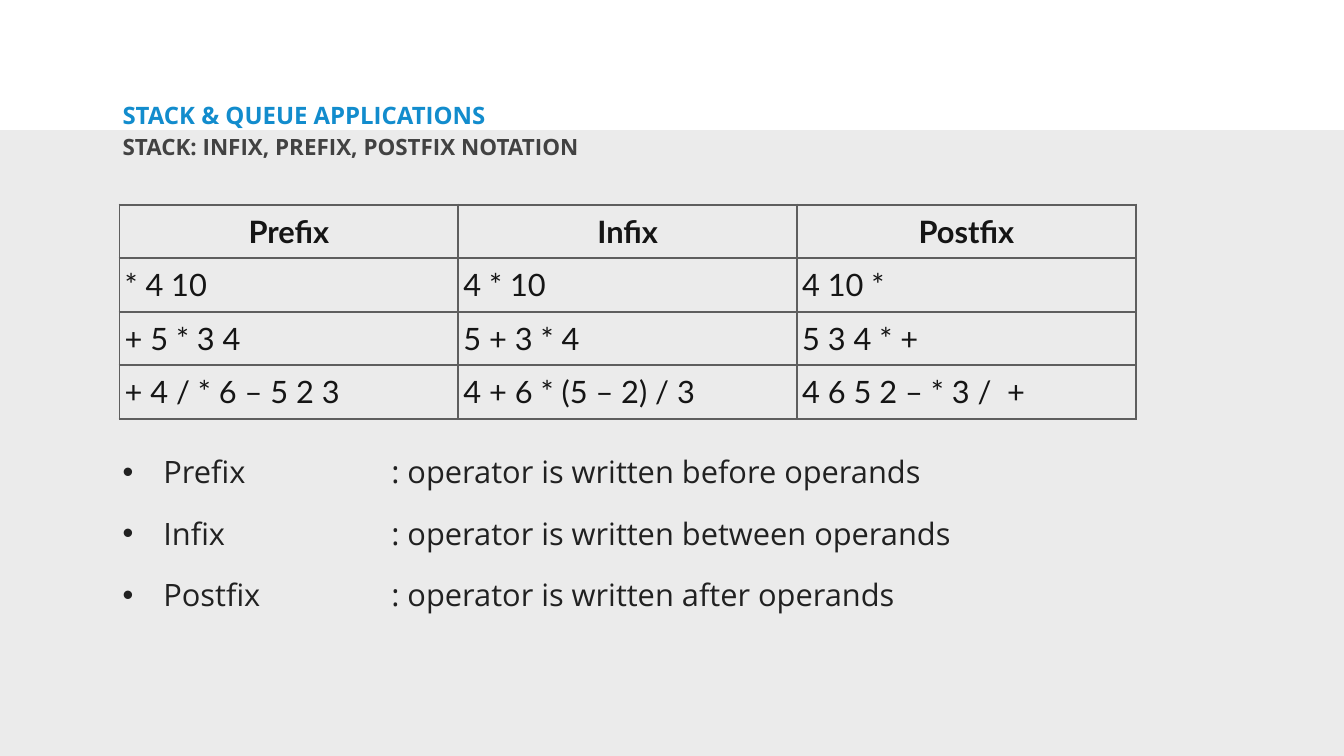
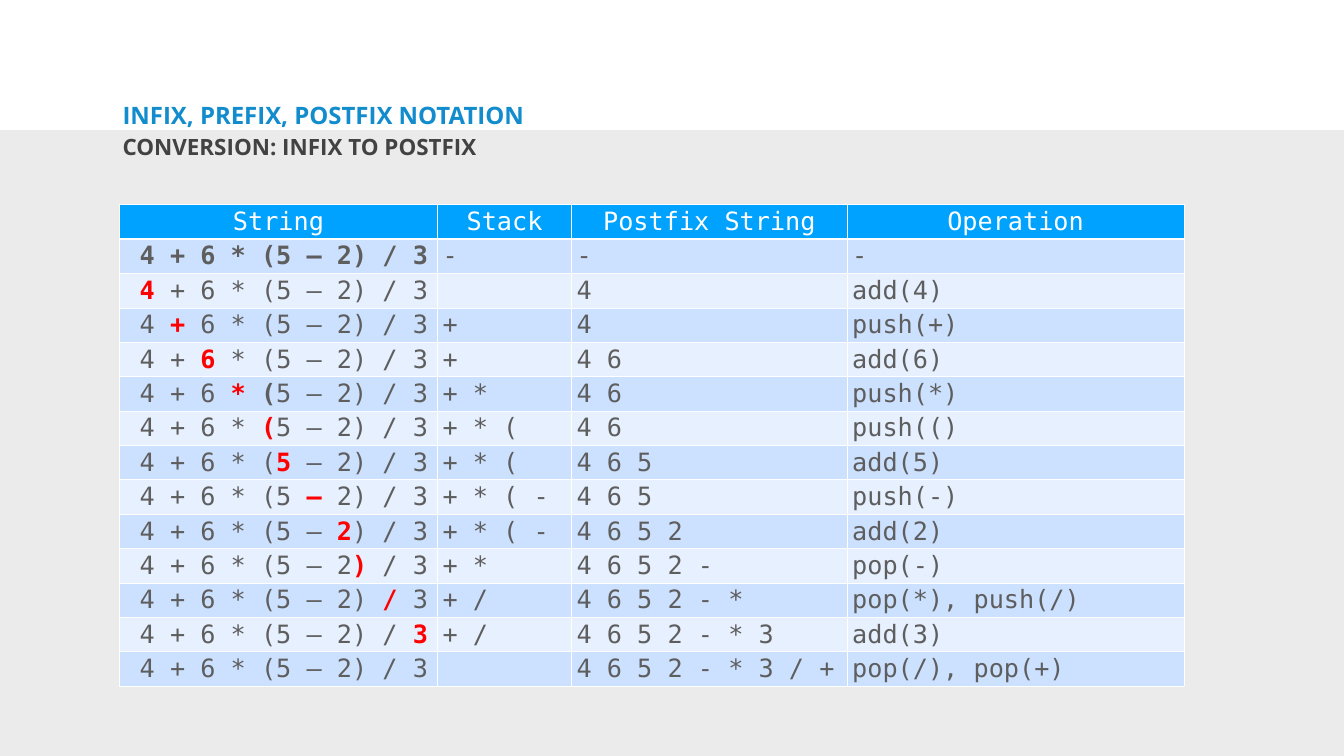
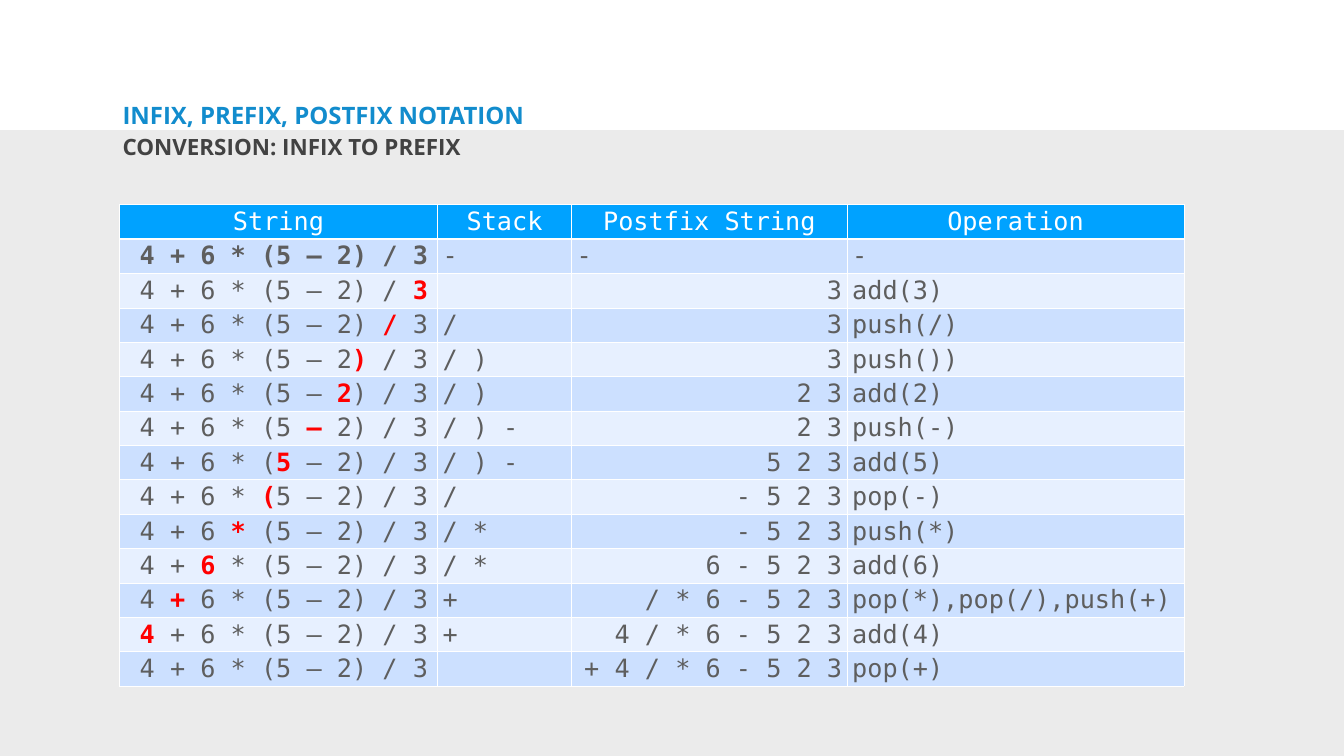
"""Build three slides on prefix, infix and postfix notation."""
from lxml import etree
from pptx import Presentation
from pptx import util as u
from pptx.dml.color import RGBColor
from pptx.enum import shapes, text
from pptx.oxml import ns

Pt = u.Pt
LEFT, TABLE_TOP = 170.7, 292.4
EXPR = " 4 + 6 * (5 – 2) / 3"
START = "|" + EXPR
HEADER = ["String", "Stack", "Postfix String", "Operation"]
ALIGN = {"l": text.PP_ALIGN.LEFT, "c": text.PP_ALIGN.CENTER, "r": text.PP_ALIGN.RIGHT}


def rgb(color):
    return RGBColor.from_string(color)


def sub(parent, tag, **attrs):
    return etree.SubElement(parent, ns.qn(tag), attrs)


class Deck:
    blue, dark, body, red = "128CCD", "424242", "212121", "FF0000"
    band_fill, grey, ink, white = "EBEBEB", "5E5E5E", "151515", "FFFFFF"
    head, rows = "00A2FF", ("CCE0FF", "E7F0FF")
    sans, lato, mono = "Open Sans", "Lato", "DejaVu Sans Mono"

    def __init__(self):
        self.prs = Presentation()
        self.prs.slide_width, self.prs.slide_height = Pt(1920), Pt(1080)
        self.s = None

    def slide(self, title, subtitle, bullets=()):
        self.s = self.prs.slides.add_slide(self.prs.slide_layouts[4])
        self.band()
        self.placeholder(0, (LEFT, 147.6, 1158.5, 40.3), [title], 34.2, self.blue,
                         bold=True, spacing=0.8, anchor=text.MSO_ANCHOR.MIDDLE)
        self.placeholder(1, (LEFT, 190.8, 769, 63.4), [subtitle], 32, self.dark,
                         bold=True, spacing=0.9)
        if bullets:
            self.placeholder(3, (LEFT, 643, 1520.6, 289), bullets, 44, self.body,
                             bulleted=True)
        for sp in list(self.s.placeholders):
            if not sp.text_frame.text:
                sp.element.getparent().remove(sp.element)

    def band(self):
        sp = self.s.shapes.add_shape(shapes.MSO_SHAPE.RECTANGLE, 0, Pt(186),
                                     Pt(1920), Pt(894))
        sp.shadow.inherit = False
        sp.fill.solid()
        sp.fill.fore_color.rgb = rgb(self.band_fill)
        sp.line.fill.background()
        self.s.shapes.element.insert(2, sp.element)

    def font(self, p, name, size, color, bold=False):
        f = p.font
        f.name, f.size, f.bold = name, Pt(size), bold
        f.color.rgb = rgb(color)

    def placeholder(self, idx, at, lines, size, color, bold=False, spacing=1.0,
                    anchor=text.MSO_ANCHOR.TOP, bulleted=False):
        sp = next(sp for sp in self.s.placeholders
                  if sp.placeholder_format.idx == idx)
        sp.left, sp.top, sp.width, sp.height = map(Pt, at)
        tf = sp.text_frame
        tf.word_wrap, tf.auto_size = True, text.MSO_AUTO_SIZE.NONE
        tf.vertical_anchor = anchor
        tf.margin_left = tf.margin_right = tf.margin_top = tf.margin_bottom = Pt(4.3)
        for i, line in enumerate(lines):
            p = tf.add_paragraph() if i else tf.paragraphs[0]
            p.text, p.alignment, p.line_spacing = line, ALIGN["l"], spacing
            p.space_before, p.space_after = Pt(35 if i else 0), Pt(0)
            if bulleted:
                self.bullet(p, 58.3, 384)
            self.font(p, self.sans, size, color, bold)

    def bullet(self, p, indent, tab):
        pPr = p._p.get_or_add_pPr()
        pPr.set("marL", str(Pt(indent)))
        pPr.set("indent", str(-Pt(indent)))
        sub(pPr, "a:buFont", typeface="Arial")
        sub(pPr, "a:buChar", char="•")
        sub(sub(pPr, "a:tabLst"), "a:tab", pos=str(Pt(tab)), algn="l")

    def table(self, widths, n_rows, row_height):
        tbl = self.s.shapes.add_table(n_rows, len(widths), Pt(LEFT), Pt(TABLE_TOP),
                                      Pt(sum(widths)), Pt(n_rows * row_height)).table
        tbl.first_row = tbl.horz_banding = False
        for col, width in zip(tbl.columns, widths):
            col.width = Pt(width)
        for row in tbl.rows:
            row.height = Pt(row_height)
        return tbl

    def cell(self, cell, content, font, align="l", fill=None, border=None,
             width=1, bottom=None, anchor=text.MSO_ANCHOR.TOP):
        tcPr = cell._tc.get_or_add_tcPr()
        for side in "LRTB":
            w = bottom if bottom and side == "B" else width
            ln = sub(tcPr, "a:ln" + side, w=str(Pt(w)))
            sub(sub(ln, "a:solidFill"), "a:srgbClr", val=border)
        if fill:
            cell.fill.solid()
            cell.fill.fore_color.rgb = rgb(fill)
        else:
            cell.fill.background()
        cell.vertical_anchor = anchor
        p = cell.text_frame.paragraphs[0]
        p.alignment = ALIGN[align]
        self.font(p, *font)
        for words, color, bold in content:
            if words:
                r = p.add_run()
                r.text = words
                if bold:
                    r.font.bold = True
                if color:
                    r.font.color.rgb = rgb(color)

    def notation_table(self, rows):
        tbl = self.table([484] * 3, len(rows), 76.5)
        for i, row in enumerate(rows):
            for j, words in enumerate(row):
                self.cell(tbl.cell(i, j), [(words, None, False)],
                          (self.lato, 44, self.ink, i == 0), "l" if i else "c",
                          border=self.grey, width=3, anchor=text.MSO_ANCHOR.MIDDLE)

    def focus(self, mark):
        red, _, bold = mark.partition("|")
        before, _, after = EXPR.partition(red + bold) if mark else (EXPR, "", "")
        return [(before, None, False), (red, self.red, True),
                (bold, None, True), (after, None, False)]

    def conversion_table(self, marks, steps, output_align="l"):
        tbl = self.table([454.3, 191.5, 393.8, 481], len(steps) + 1, 46)
        for j, words in enumerate(HEADER):
            self.cell(tbl.cell(0, j), [(words, None, False)],
                      (self.mono, 36, self.white), "c", self.head, self.white, bottom=3)
        for i, (mark, step) in enumerate(zip(marks, steps)):
            row = [self.focus(mark)] + [[(words, None, False)] for words in step]
            for j, content in enumerate(row):
                align = output_align if i and j == 2 else "l"
                self.cell(tbl.cell(i + 1, j), content, (self.mono, 36, self.grey),
                          align, self.rows[i % 2], self.white)


def main():
    d = Deck()
    d.slide("STACK & QUEUE APPLICATIONS", "STACK: INFIX, PREFIX, POSTFIX NOTATION",
            ["Prefix\t: operator is written before operands",
             "Infix\t: operator is written between operands",
             "Postfix\t: operator is written after operands"])
    d.notation_table([
        ("Prefix", "Infix", "Postfix"),
        ("* 4 10", "4 * 10", "4 10 *"),
        ("+ 5 * 3 4", "5 + 3 * 4", "5 3 4 * +"),
        ("+ 4 / * 6 – 5 2 3", "4 + 6 * (5 – 2) / 3", "4 6 5 2 – * 3 /  +"),
    ])

    symbols = list(EXPR.replace(" ", ""))
    d.slide("INFIX, PREFIX, POSTFIX NOTATION", "CONVERSION: INFIX TO POSTFIX")
    marks = ["* |(" if c == "*" else c for c in symbols]
    d.conversion_table([START, *marks, ""], [
        ("-", "-", "-"),
        ("", "4", "add(4)"),
        ("+", "4", "push(+)"),
        ("+", "4 6", "add(6)"),
        ("+ *", "4 6", "push(*)"),
        ("+ * (", "4 6", "push(()"),
        ("+ * (", "4 6 5", "add(5)"),
        ("+ * ( -", "4 6 5", "push(-)"),
        ("+ * ( -", "4 6 5 2", "add(2)"),
        ("+ *", "4 6 5 2 -", "pop(-)"),
        ("+ /", "4 6 5 2 - *", "pop(*), push(/)"),
        ("+ /", "4 6 5 2 - * 3", "add(3)"),
        ("", "4 6 5 2 - * 3 / +", "pop(/), pop(+)"),
    ])

    d.slide("INFIX, PREFIX, POSTFIX NOTATION", "CONVERSION: INFIX TO PREFIX")
    d.conversion_table([START, *reversed(symbols), ""], [
        ("-", "-", "-"),
        ("", "3", "add(3)"),
        ("/", "3", "push(/)"),
        ("/ )", "3", "push())"),
        ("/ )", "2 3", "add(2)"),
        ("/ ) -", "2 3", "push(-)"),
        ("/ ) -", "5 2 3", "add(5)"),
        ("/", "- 5 2 3", "pop(-)"),
        ("/ *", "- 5 2 3", "push(*)"),
        ("/ *", "6 - 5 2 3", "add(6)"),
        ("+", "/ * 6 - 5 2 3", "pop(*),pop(/),push(+)"),
        ("+", "4 / * 6 - 5 2 3", "add(4)"),
        ("", "+ 4 / * 6 - 5 2 3", "pop(+)"),
    ], "r")
    d.prs.save("out.pptx")


if __name__ == "__main__":
    main()
